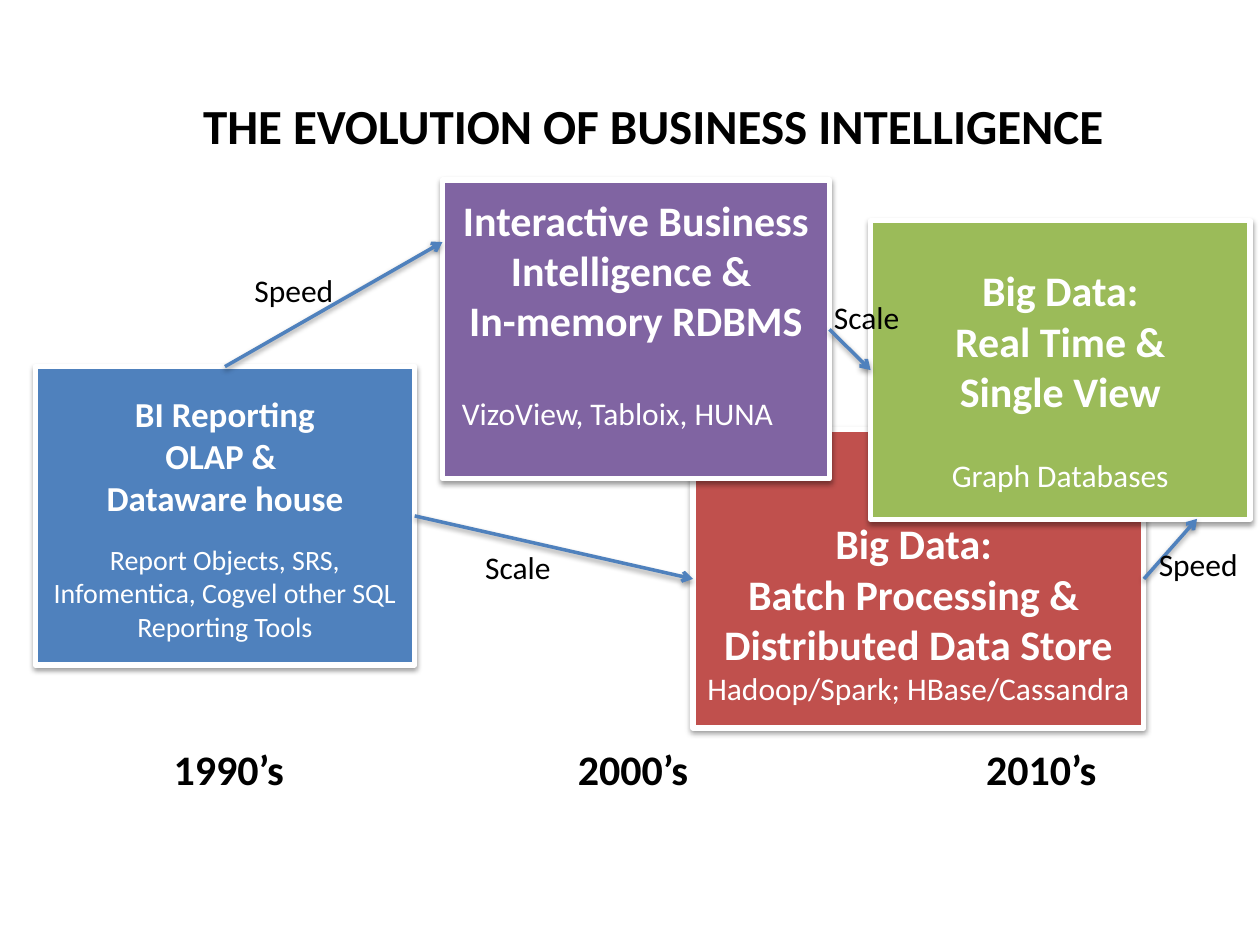
from lxml import etree
from pptx import Presentation
from pptx.dml.color import RGBColor
from pptx.enum.shapes import MSO_CONNECTOR, MSO_SHAPE
from pptx.enum.text import MSO_ANCHOR, MSO_AUTO_SIZE, PP_ALIGN
from pptx.oxml import parse_xml
from pptx.oxml.ns import nsdecls, qn
from pptx.util import Cm, Pt

RECT, STRAIGHT = MSO_SHAPE.RECTANGLE, MSO_CONNECTOR.STRAIGHT
LEFT, CENTER = PP_ALIGN.LEFT, PP_ALIGN.CENTER
TOP_SIDE, LEFT_SIDE, RIGHT_SIDE = 0, 1, 3
FONT, WHITE, BLACK, BLUE = "Calibri", "FFFFFF", "000000", "4F81BD"
BOX_H = 6.02

TITLE = "THE EVOLUTION OF BUSINESS INTELLIGENCE"

# Lengths in cm, text sizes and gaps in points; boxes run from back to front.
BOXES = {
    "batch": dict(
        at=(13.97, 8.66), width=9.09, fill="C0504D", bottom=0.43,
        heads=["Big Data: ", "Batch Processing & ", "Distributed Data Store"],
        head_size=24, tools="Hadoop/Spark; HBase/Cassandra",
        tools_size=18, gap=0, align=CENTER),
    "reporting": dict(
        at=(0.71, 7.39), width=7.65, fill=BLUE, bottom=0.45,
        heads=["BI Reporting", "OLAP & ", "Dataware house"], head_size=20,
        tools="Report Objects, SRS, Infomentica, Cogvel other SQL Reporting Tools",
        tools_size=16, gap=13.4, align=CENTER),
    "interactive": dict(
        at=(8.92, 3.63), width=7.8, fill="8064A2", bottom=0.94,
        heads=["Interactive Business Intelligence & ", "In-memory RDBMS"],
        head_size=24, tools="VizoView, Tabloix, HUNA",
        tools_size=18, gap=28, align=LEFT),
    "real_time": dict(
        at=(17.55, 4.45), width=7.65, fill="9BBB59", bottom=0.51,
        heads=["Big Data:", "Real Time &", "Single View"], head_size=24,
        tools="Graph Databases", tools_size=18, gap=23, align=CENTER),
}

# Each end is a (box, side) pair to join, or a free (x, y) point.
ARROWS = [
    (("reporting", TOP_SIDE), (8.92, 4.88)),
    (("reporting", RIGHT_SIDE), ("batch", LEFT_SIDE)),
    (("interactive", RIGHT_SIDE), ("real_time", LEFT_SIDE)),
    (("batch", RIGHT_SIDE), (24.13, 10.46)),
]

DECADES = [("1990’s", 3.25), ("2000’s", 11.4), ("2010’s", 19.63)]
DECADE_Y = 14.86
LABELS = [("Speed", 4.88, 5.33), ("Scale", 9.53, 10.92),
          ("Scale", 16.56, 5.89), ("Speed", 23.11, 10.87)]
LABEL_WIDTHS = {"Speed": 2.11, "Scale": 1.85}


def rgb(value):
    return RGBColor.from_string(value)


def add_run(p, text, size, color, bold=False):
    r = p.add_run()
    r.text = text
    r.font.name = FONT
    r.font.size = Pt(size)
    r.font.bold = bold
    r.font.color.rgb = rgb(color)


def add_shadow(sp):
    """Append a soft downward shadow; call it after fill and line are set."""
    sp._element.spPr.append(parse_xml(
        f'<a:effectLst {nsdecls("a")}>'
        '<a:outerShdw blurRad="40000" dist="20000" dir="5400000" rotWithShape="0">'
        '<a:srgbClr val="000000"><a:alpha val="38000"/></a:srgbClr>'
        '</a:outerShdw></a:effectLst>'))


def add_box(s, box):
    x, y = box["at"]
    sp = s.shapes.add_shape(RECT, Cm(x), Cm(y), Cm(box["width"]), Cm(BOX_H))
    sp.fill.solid()
    sp.fill.fore_color.rgb = rgb(box["fill"])
    sp.line.color.rgb = rgb(WHITE)
    sp.line.width = Pt(3)
    add_shadow(sp)
    tf = sp.text_frame
    tf.word_wrap = True
    tf.vertical_anchor = MSO_ANCHOR.BOTTOM
    tf.margin_bottom = Cm(box["bottom"])
    for i, head in enumerate(box["heads"]):
        p = tf.paragraphs[0] if i == 0 else tf.add_paragraph()
        p.alignment = CENTER
        add_run(p, head, box["head_size"], WHITE, True)
    p = tf.add_paragraph()
    p.alignment = box["align"]
    p.space_before = Pt(box["gap"])
    if box["align"] == LEFT:
        p._p.get_or_add_pPr().set("marL", str(Cm(0.14)))
    add_run(p, box["tools"], box["tools_size"], WHITE)
    return sp


def add_arrow(s, start, end, shapes):
    joined = [point[0] in shapes for point in (start, end)]
    x1, y1 = (0, 0) if joined[0] else start
    x2, y2 = (0, 0) if joined[1] else end
    line = s.shapes.add_connector(STRAIGHT, Cm(x1), Cm(y1), Cm(x2), Cm(y2))
    if joined[0]:
        line.begin_connect(shapes[start[0]], start[1])
    if joined[1]:
        line.end_connect(shapes[end[0]], end[1])
    line.line.color.rgb = rgb(BLUE)
    line.line.width = Pt(2)
    etree.SubElement(line.line._get_or_add_ln(), qn("a:tailEnd"), type="arrow")
    add_shadow(line)


def add_label(s, text, x, y, width, height, size, bold=False):
    tf = s.shapes.add_textbox(Cm(x), Cm(y), Cm(width), Cm(height)).text_frame
    tf.word_wrap = False
    tf.auto_size = MSO_AUTO_SIZE.SHAPE_TO_FIT_TEXT
    add_run(tf.paragraphs[0], text, size, BLACK, bold)


def main():
    prs = Presentation()
    prs.slide_width, prs.slide_height = Cm(25.4), Cm(19.05)
    s = prs.slides.add_slide(prs.slide_layouts[5])

    title = s.shapes.title
    title.left, title.top = Cm(3.84), Cm(1.7)
    title.width, title.height = Cm(20.47), Cm(1.65)
    title.text_frame.vertical_anchor = MSO_ANCHOR.MIDDLE
    p = title.text_frame.paragraphs[0]
    p.alignment = LEFT
    add_run(p, TITLE, 28, BLACK, True)

    shapes = {name: add_box(s, box) for name, box in BOXES.items()}
    for start, end in ARROWS:
        add_arrow(s, start, end, shapes)
    for text, x in DECADES:
        add_label(s, text, x, DECADE_Y, 2.82, 1.27, 24, True)
    for text, x, y in LABELS:
        add_label(s, text, x, y, LABEL_WIDTHS[text], 1.02, 18)

    prs.save("out.pptx")


if __name__ == "__main__":
    main()
